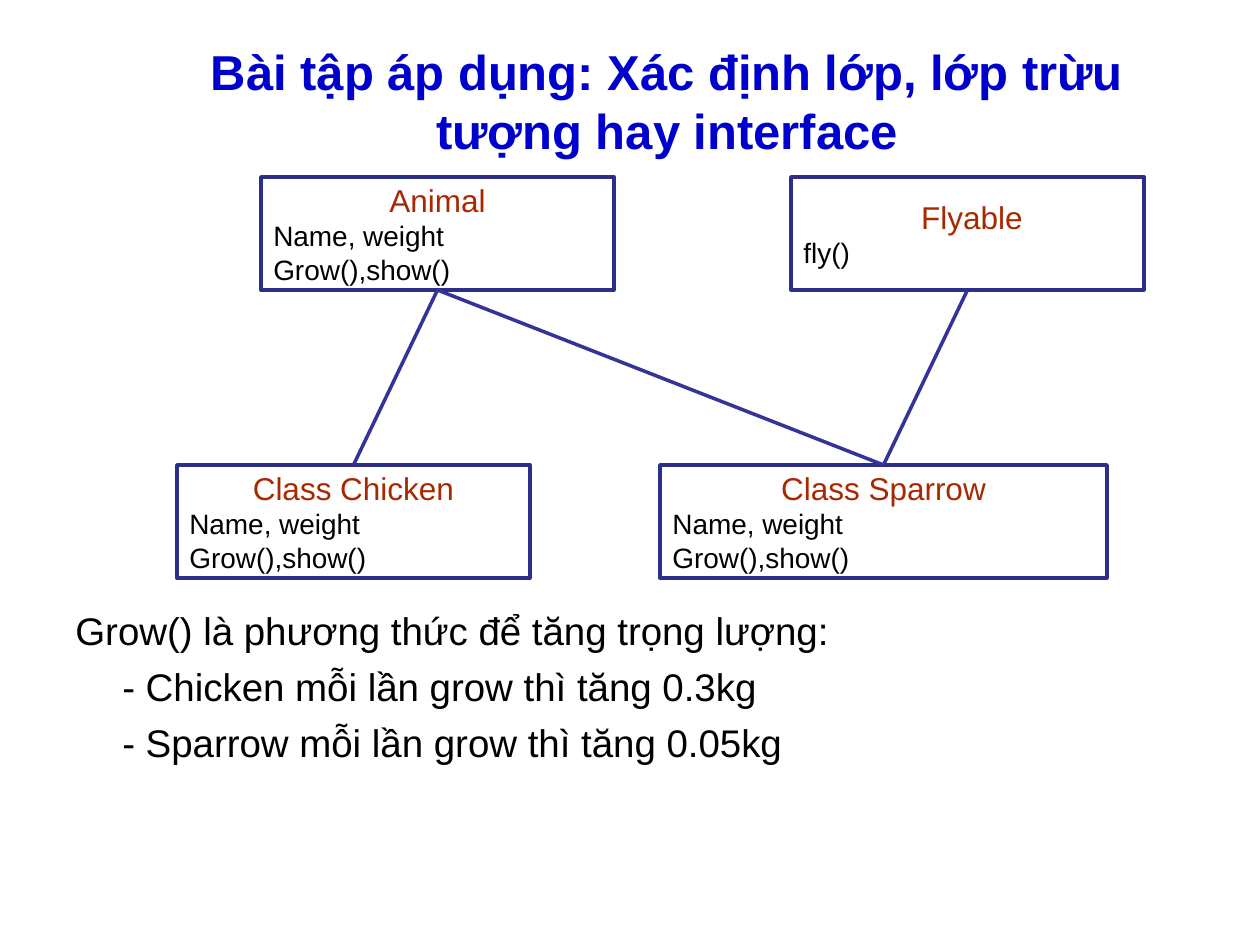
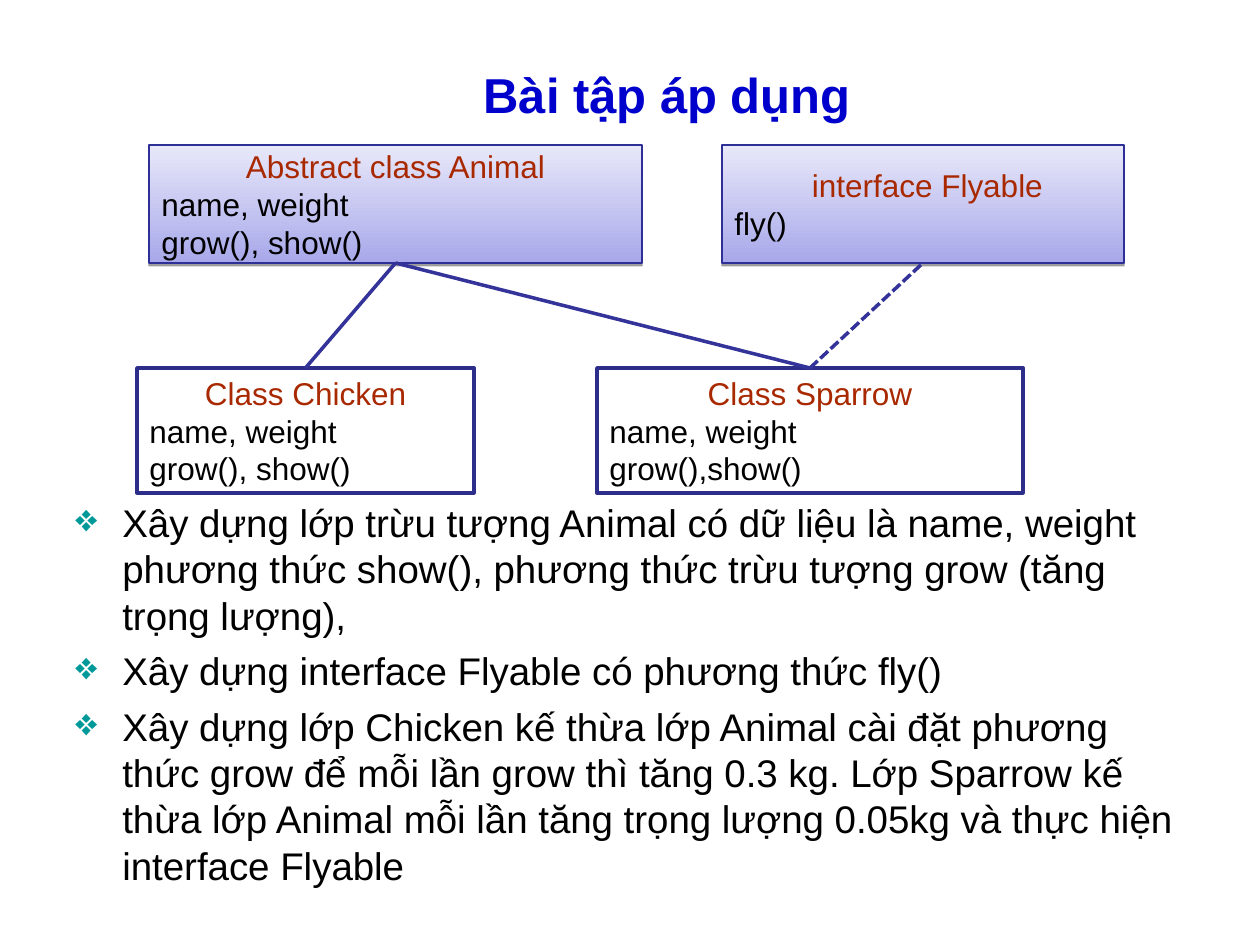
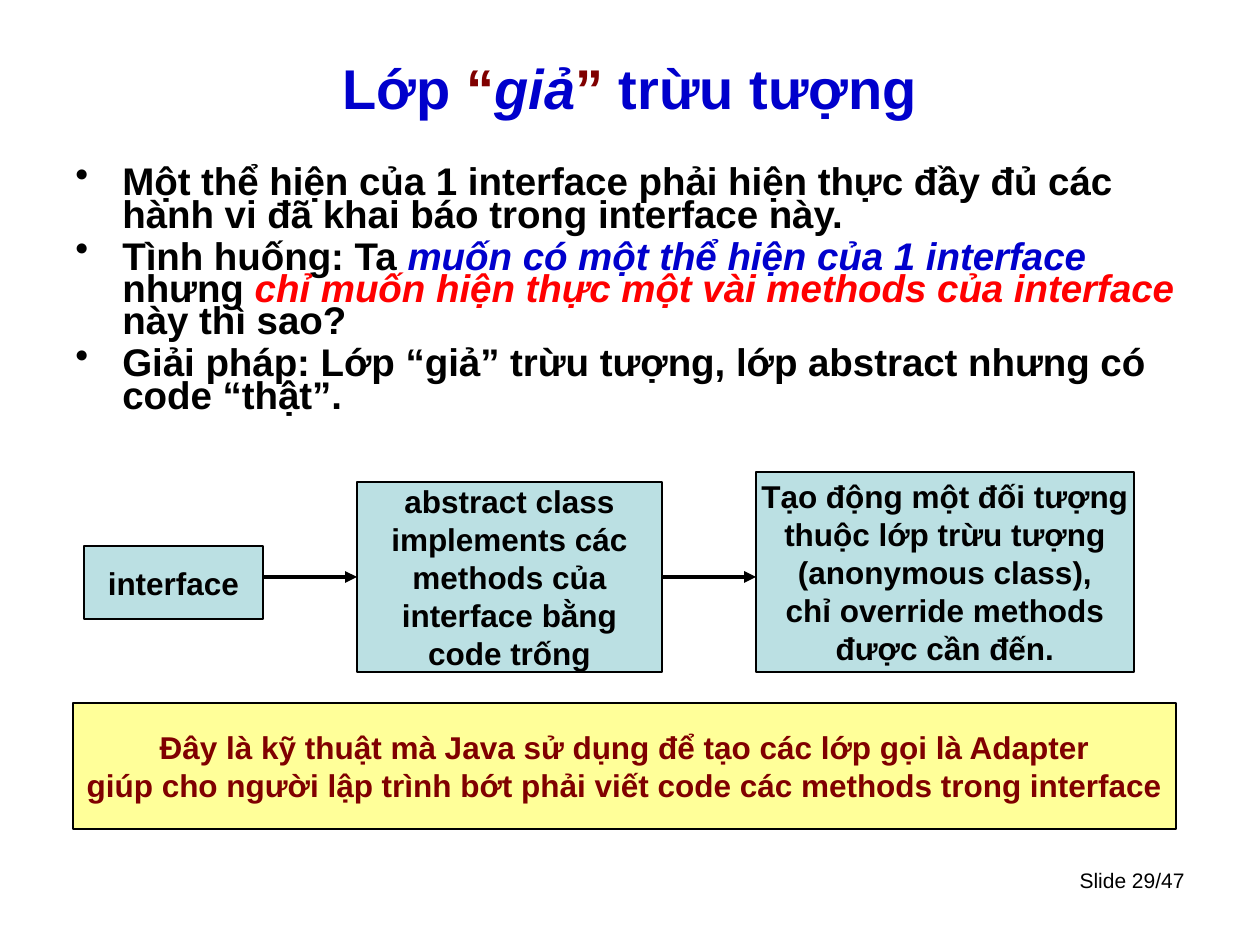
from lxml import etree
from pptx import Presentation
from pptx.dml.color import RGBColor
from pptx.enum.dml import MSO_LINE
from pptx.enum.shapes import MSO_CONNECTOR, MSO_SHAPE
from pptx.enum.text import MSO_ANCHOR, MSO_AUTO_SIZE, PP_ALIGN
from pptx.oxml.ns import qn
from pptx.util import Emu, Pt

PX = 914400 / 126
LEFT, CENTER, RIGHT = PP_ALIGN.LEFT, PP_ALIGN.CENTER, PP_ALIGN.RIGHT
MIDDLE = MSO_ANCHOR.MIDDLE
RECTANGLE, STRAIGHT = MSO_SHAPE.RECTANGLE, MSO_CONNECTOR.STRAIGHT
SHORT_DASH = MSO_LINE.SQUARE_DOT
TOP_SIDE, LEFT_SIDE, BOTTOM_SIDE, RIGHT_SIDE = range(4)

FONT = "Arial"
BLACK, WHITE = "000000", "FFFFFF"
BLUE, RED, MAROON, TEAL = "0000CC", "FF0000", "800000", "009999"
CLASS_NAME, CLASS_BORDER, CLASS_LINK = "A82800", "2D2D8A", "333399"
TYPE_BORDER, TYPE_BOTTOM, TYPE_TOP = "2F2F98", "A8A8EA", "E8E8FA"
STEP_FILL, NOTE_FILL = "BBE0E3", "FFFF99"
INDENT = 47


def px(length):
    return Emu(round(length * PX))


def rgb(value):
    return RGBColor.from_string(value)


class Painter:
    """Holds the shared style and draws on the current slide."""

    def __init__(self, deck):
        self.deck = deck
        self.page = None

    def new_page(self, title, bounds, size=28):
        self.page = self.deck.slides.add_slide(self.deck.slide_layouts[5])
        box = self.page.shapes.title
        self.place(box, bounds)
        frame = box.text_frame
        frame.auto_size = MSO_AUTO_SIZE.NONE
        frame.vertical_anchor = MIDDLE
        self.set_text(frame.paragraphs[0], title, size, BLUE, True, CENTER)

    def place(self, box, bounds):
        box.left, box.top, box.width, box.height = map(px, bounds)

    def set_text(self, para, content, size, color=BLACK, bold=False, align=LEFT):
        """Fill a paragraph with a string or with (text, colour, italic) spans."""
        para.alignment = align
        font = para.font
        font.name, font.size, font.bold = FONT, Pt(size), bold
        font.color.rgb = rgb(color)
        if isinstance(content, str):
            para.add_run().text = content
            return
        for text, span_color, italic in content:
            span = para.add_run()
            span.text = text
            span.font.color.rgb = rgb(span_color)
            span.font.italic = italic

    def paragraphs(self, frame, count):
        return [frame.paragraphs[0]] + [frame.add_paragraph() for _ in range(count - 1)]

    def text_box(self, bounds):
        box = self.page.shapes.add_textbox(*map(px, bounds))
        box.text_frame.word_wrap = True
        return box.text_frame

    def body(self, bounds, items, margins, bullet=None, bullet_color=BLACK,
             bold=False, line_spacing=None):
        frame = self.text_box(bounds)
        for para, item, margin in zip(self.paragraphs(frame, len(items)), items, margins):
            properties = para._p.get_or_add_pPr()
            properties.set("marL", str(px(margin)))
            if bullet:
                properties.set("indent", str(-px(margin)))
                color = etree.SubElement(properties, qn("a:buClr"))
                etree.SubElement(color, qn("a:srgbClr"), val=bullet_color)
                etree.SubElement(properties, qn("a:buChar"), char=bullet)
            para.space_before = Pt(5.5)
            if line_spacing:
                para.line_spacing = line_spacing
            self.set_text(para, item, 22, bold=bold)

    def page_number(self, text):
        frame = self.text_box((903, 861, 294, 66))
        self.set_text(frame.paragraphs[0], text, 12, align=RIGHT)

    def rectangle(self, bounds, fill, border, width):
        box = self.page.shapes.add_shape(RECTANGLE, *map(px, bounds))
        box.shadow.inherit = False
        box.fill.solid()
        box.fill.fore_color.rgb = rgb(fill)
        box.line.color.rgb = rgb(border)
        box.line.width = Pt(width)
        box.text_frame.vertical_anchor = MIDDLE
        return box

    def class_box(self, bounds, name, members, size):
        box = self.rectangle(bounds, WHITE, CLASS_BORDER, 2)
        frame = box.text_frame
        frame.word_wrap = True
        heading, *rows = self.paragraphs(frame, 1 + len(members))
        self.set_text(heading, name, 18, CLASS_NAME, align=CENTER)
        for para, member in zip(rows, members):
            self.set_text(para, member, size)
        return box

    def abstract_box(self, bounds, name, members, size):
        """Draw a class box with a gradient and a soft lower edge."""
        box = self.class_box(bounds, name, members, size)
        box.line.color.rgb = rgb(TYPE_BORDER)
        box.line.width = Pt(0.75)
        box.fill.gradient()
        box.fill.gradient_angle = 90
        for stop, color in zip(box.fill.gradient_stops, (TYPE_BOTTOM, TYPE_TOP)):
            stop.color.rgb = rgb(color)
        effects = box.element.spPr.find(qn("a:effectLst"))
        shadow = etree.SubElement(effects, qn("a:outerShdw"), blurRad="0",
                                  dist=str(Pt(1.6)), dir="5400000", rotWithShape="0")
        color = etree.SubElement(shadow, qn("a:srgbClr"), val=BLACK)
        etree.SubElement(color, qn("a:alpha"), val="38000")
        return box

    def label_box(self, bounds, lines, fill, color=BLACK):
        box = self.rectangle(bounds, fill, BLACK, 0.75)
        box.text_frame.word_wrap = False
        for para, line in zip(self.paragraphs(box.text_frame, len(lines)), lines):
            self.set_text(para, line, 18, color, True, CENTER)
        return box

    def connector(self, start, end, color, width):
        link = self.page.shapes.add_connector(STRAIGHT, *map(px, start + end))
        link.line.color.rgb = rgb(color)
        link.line.width = Pt(width)
        etree.SubElement(link.element.spPr, qn("a:effectLst"))
        return link

    def inherit(self, child, parent, dashed=False):
        link = self.connector((0, 0), (0, 0), CLASS_LINK, 2)
        link.begin_connect(child, TOP_SIDE)
        link.end_connect(parent, BOTTOM_SIDE)
        if dashed:
            link.line.dash_style = SHORT_DASH

    def arrow(self, start, end):
        link = self.connector(start, end, BLACK, 2.25)
        line = link.element.spPr.find(qn("a:ln"))
        etree.SubElement(line, qn("a:tailEnd"), type="triangle")
        return link


def class_exercise(painter):
    painter.new_page("Bài tập áp dụng: Xác định lớp, lớp trừu tượng hay interface",
                     (137, 42, 1060, 116))
    members = ["Name, weight", "Grow(),show()"]
    animal = painter.class_box((261, 177, 353, 113), "Animal", members, 16)
    flyable = painter.class_box((791, 177, 353, 113), " Flyable", ["fly()"], 16)
    chicken = painter.class_box((177, 465, 353, 113), "Class Chicken", members, 16)
    sparrow = painter.class_box((660, 465, 447, 113), "Class Sparrow", members, 16)
    painter.inherit(chicken, animal)
    painter.inherit(sparrow, animal)
    painter.inherit(sparrow, flyable)
    painter.body((63, 601, 1134, 305), [
        "Grow() là phương thức để tăng trọng lượng:",
        "- Chicken mỗi lần grow thì tăng 0.3kg",
        "- Sparrow mỗi lần grow thì tăng 0.05kg",
    ], (0, INDENT, INDENT))


def class_solution(painter):
    painter.new_page("Bài tập áp dụng", (137, 60, 1060, 67))
    members = ["name, weight", "grow(), show()"]
    animal = painter.abstract_box((149, 145, 493, 118), "Abstract class Animal", members, 18)
    flyable = painter.abstract_box((722, 145, 402, 118), " interface Flyable", ["fly()"], 18)
    chicken = painter.class_box((137, 368, 337, 125), "Class Chicken", members, 18)
    sparrow = painter.class_box((597, 368, 426, 125), "Class Sparrow",
                                ["name, weight", "grow(),show()"], 18)
    painter.inherit(chicken, animal)
    painter.inherit(sparrow, animal)
    painter.inherit(sparrow, flyable, dashed=True)
    painter.body((63, 493, 1134, 413), [
        "Xây dựng lớp trừu tượng Animal có dữ liệu là name, weight phương thức show(), "
        "phương thức trừu tượng grow (tăng trọng lượng),",
        "Xây dựng interface Flyable có phương thức fly()",
        "Xây dựng lớp Chicken kế thừa lớp Animal cài đặt phương thức grow để mỗi lần grow "
        "thì tăng 0.3 kg. Lớp Sparrow kế thừa lớp Animal mỗi lần tăng trọng lượng 0.05kg "
        "và thực hiện interface Flyable",
    ], [INDENT] * 3, bullet="❖", bullet_color=TEAL)


def fake_abstract_class(painter):
    painter.new_page([
        ("Lớp ", BLUE, False), ("“", MAROON, False), ("giả", BLUE, True),
        ("”", MAROON, False), (" trừu tượng", BLUE, False),
    ], (63, 38, 1134, 98), 32)
    painter.page_number("Slide 29/47")
    painter.body((63, 164, 1134, 277), [
        "Một thể hiện của 1 interface phải hiện thực đầy đủ các hành vi đã khai báo "
        "trong interface này.",
        [("Tình huống: Ta ", BLACK, False),
         ("muốn có một thể hiện của 1 interface ", BLUE, True),
         ("nhưng ", BLACK, False),
         ("chỉ muốn hiện thực một vài methods của interface", RED, True),
         (" này thì sao?", BLACK, False)],
        "Giải pháp: Lớp “giả” trừu tượng, lớp abstract nhưng có code “thật”.",
    ], [INDENT] * 3, bullet="•", bold=True, line_spacing=0.7)
    painter.label_box((84, 546, 179, 73), ["interface"], STEP_FILL)
    adapter = painter.label_box((357, 482, 305, 190), [
        "abstract class", "implements các", "methods của", "interface bằng", "code trống",
    ], STEP_FILL)
    painter.label_box((756, 472, 378, 200), [
        "Tạo động một đối tượng", "thuộc lớp trừu tượng", "(anonymous class),",
        "chỉ override methods", "được cần đến.",
    ], STEP_FILL)
    painter.label_box((73, 703, 1103, 126), [
        "Đây là kỹ thuật mà Java sử dụng để tạo các lớp gọi là Adapter",
        "giúp cho người lập trình bớt phải viết code các methods trong interface",
    ], NOTE_FILL, MAROON)
    painter.arrow((263, 577), (357, 577)).end_connect(adapter, LEFT_SIDE)
    painter.arrow((662, 577), (756, 577)).begin_connect(adapter, RIGHT_SIDE)


def main():
    deck = Presentation()
    deck.slide_width, deck.slide_height = px(1260), px(945)
    painter = Painter(deck)
    class_exercise(painter)
    class_solution(painter)
    fake_abstract_class(painter)
    deck.save("out.pptx")


if __name__ == "__main__":
    main()
